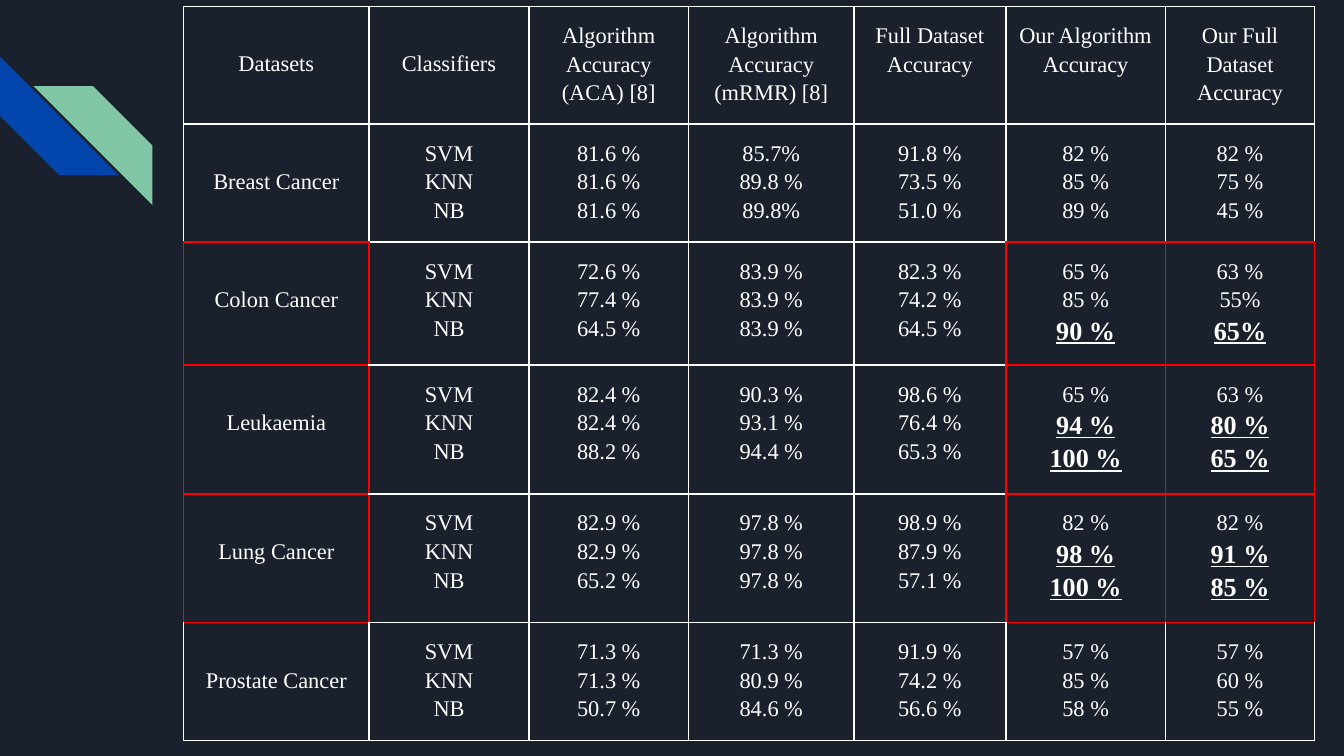
from lxml.etree import SubElement
from pptx import Presentation
from pptx.dml.color import RGBColor
from pptx.enum.shapes import MSO_SHAPE as Shape
from pptx.enum.text import PP_ALIGN as Align
from pptx.oxml.ns import qn
from pptx.util import Pt

NAVY = RGBColor(0x1B, 0x21, 0x2C)
BLUE = RGBColor(0x01, 0x45, 0xAC)
GREEN = RGBColor(0x82, 0xC7, 0xA5)
WHITE = RGBColor(0xFF, 0xFF, 0xFF)
RED = RGBColor(0xFF, 0x00, 0x00)

FONT = "Times New Roman"
BORDER = 0.98
MARGIN = 7.2
LINE = 15.3
COL_WIDTHS = [99.4, 85.6, 85.6, 88.5, 81.4, 85.6, 79.9]
ROW_HEIGHTS = [63.1, 63.1, 66, 69, 69, 63.1]
BOXED_ROWS = (2, 3, 4)
BOXED_COLS = (0, 5, 6)
EDGES = {"lnL": (0, -1), "lnR": (0, 1), "lnT": (-1, 0), "lnB": (1, 0)}

HEADERS = [
    ["Datasets"],
    ["Classifiers"],
    ["Algorithm Accuracy", "(ACA) [8]"],
    ["Algorithm Accuracy", "(mRMR) [8]"],
    ["Full Dataset Accuracy"],
    ["Our Algorithm", "Accuracy"],
    ["Our Full Dataset Accuracy"],
]
CLASSIFIERS = ["SVM", "KNN", "NB"]
RESULTS = {
    "Breast Cancer": [
        ["81.6 %", "81.6 %", "81.6 %"], ["85.7%", "89.8 %", "89.8%"],
        ["91.8 %", "73.5 %", "51.0 %"], ["82 %", "85 %", "89 %"],
        ["82 %", "75 %", "45 %"]],
    "Colon Cancer": [
        ["72.6 %", "77.4 %", "64.5 %"], ["83.9 %", "83.9 %", "83.9 %"],
        ["82.3 %", "74.2 %", "64.5 %"], ["65 %", "85 %", "90 %"],
        ["63 %", "55%", "65%"]],
    "Leukaemia": [
        ["82.4 %", "82.4 %", "88.2 %"], ["90.3 %", "93.1 %", "94.4 %"],
        ["98.6 %", "76.4 %", "65.3 %"], ["65 %", "94 %", "100 %"],
        ["63 %", "80 %", "65 %"]],
    "Lung Cancer": [
        ["82.9 %", "82.9 %", "65.2 %"], ["97.8 %", "97.8 %", "97.8 %"],
        ["98.9 %", "87.9 %", "57.1 %"], ["82 %", "98 %", "100 %"],
        ["82 %", "91 %", "85 %"]],
    "Prostate Cancer": [
        ["71.3 %", "71.3 %", "50.7 %"], ["71.3 %", "80.9 %", "84.6 %"],
        ["91.9 %", "74.2 %", "56.6 %"], ["57 %", "85 %", "58 %"],
        ["57 %", "60 %", "55 %"]],
}
FIRST_HIGHLIGHT = {2: 2, 3: 1, 4: 1}


def add_text(p, text, size=12, bold=False, underline=False, color=WHITE):
    p.alignment = Align.CENTER
    p.line_spacing = 1.15
    r = p.add_run()
    r.text = text
    r.font.name = FONT
    r.font.size = Pt(size)
    r.font.bold = bold
    r.font.underline = underline
    r.font.color.rgb = color


def is_boxed(row, col):
    return row in BOXED_ROWS and col in BOXED_COLS


class Deck:
    def __init__(self, width, height):
        self.prs = Presentation()
        self.prs.slide_width, self.prs.slide_height = Pt(width), Pt(height)
        self.s = self.prs.slides.add_slide(self.prs.slide_layouts[6])
        self.s.background.fill.solid()
        self.s.background.fill.fore_color.rgb = NAVY

    def stripe(self, left, top, size, rotation, color):
        sp = self.s.shapes.add_shape(
            Shape.DIAGONAL_STRIPE, Pt(left), Pt(top), Pt(size), Pt(size))
        sp.rotation = rotation
        sp.shadow.inherit = False
        sp.fill.solid()
        sp.fill.fore_color.rgb = color
        sp.line.fill.background()

    def table(self, left, top, rows):
        tbl = self.s.shapes.add_table(
            len(rows), len(COL_WIDTHS), Pt(left), Pt(top),
            Pt(sum(COL_WIDTHS)), Pt(sum(ROW_HEIGHTS))).table
        tbl.first_row = tbl.horz_banding = False
        for column, width in zip(tbl.columns, COL_WIDTHS):
            column.width = Pt(width)
        for i, (cells, height) in enumerate(zip(rows, ROW_HEIGHTS)):
            tbl.rows[i].height = Pt(height)
            for j, lines in enumerate(cells):
                self.cell(tbl.cell(i, j), i, j, lines)

    def cell(self, cell, row, col, lines):
        is_label = col == 0 or (row == 0 and col == 1)
        cell.margin_left = cell.margin_right = Pt(5)
        cell.margin_top = Pt(MARGIN + LINE if is_label else MARGIN)
        cell.margin_bottom = Pt(MARGIN)
        self.borders(cell, row, col)
        cell.fill.background()
        tf = cell.text_frame
        for k, text in enumerate(lines):
            p = tf.add_paragraph() if k else tf.paragraphs[0]
            strong = col >= 5 and k >= FIRST_HIGHLIGHT.get(row, len(lines))
            add_text(p, text, size=14 if strong else 12, bold=strong,
                     underline=strong)

    def borders(self, cell, row, col):
        tc_pr = cell._tc.get_or_add_tcPr()
        for tag, (dr, dc) in EDGES.items():
            red = is_boxed(row, col) or is_boxed(row + dr, col + dc)
            ln = SubElement(tc_pr, qn(f"a:{tag}"), w=str(Pt(BORDER)))
            fill = SubElement(ln, qn("a:solidFill"))
            SubElement(fill, qn("a:srgbClr"), val=str(RED if red else WHITE))

    def save(self):
        self.prs.save("out.pptx")


def main():
    deck = Deck(720, 405)
    deck.stripe(0, 30.2, 63.6, 270, BLUE)
    deck.stripe(18, 46.2, 63.6, 90, GREEN)
    body = [[[name], CLASSIFIERS, *values] for name, values in RESULTS.items()]
    deck.table(98.4, 3.4, [HEADERS, *body])
    deck.save()


if __name__ == "__main__":
    main()
